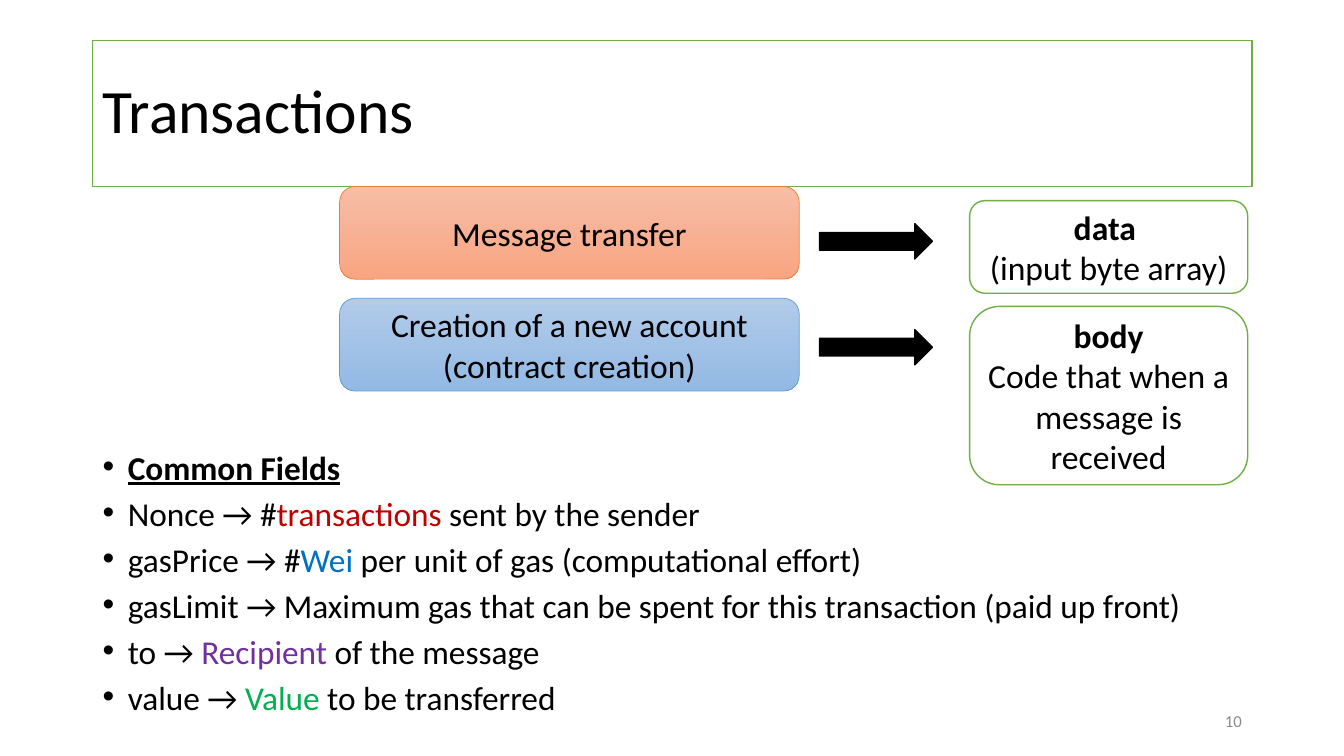
from dataclasses import dataclass

from lxml.etree import SubElement
from pptx import Presentation
from pptx.dml.color import RGBColor
from pptx.enum.shapes import MSO_SHAPE as SHAPE
from pptx.enum.text import MSO_ANCHOR as ANCHOR, PP_ALIGN as ALIGN
from pptx.oxml.ns import qn
from pptx.util import Pt


@dataclass(frozen=True)
class Theme:
    font: str = "Calibri"
    black: str = "000000"
    white: str = "FFFFFF"
    green: str = "70AD47"
    orange: tuple = ("F7BDA5", "F8A582", "ED7D31")  # top, bottom, outline
    blue: tuple = ("B1CBE9", "93B9E4", "5B9BD5")
    gray: str = "8C8C8C"
    title: float = 44
    label: float = 24
    bullet: float = 23.8
    number: float = 12


T = Theme()

# Each field is a list of (text, colour) pieces
FIELDS = [
    [("Nonce → #", T.black), ("transactions", "C00000"), (" sent by the sender", T.black)],
    [("gasPrice → #", T.black), ("Wei", "0070C0"),
     (" per unit of gas (computational effort)", T.black)],
    [("gasLimit → Maximum gas that can be spent for this transaction (paid up front)", T.black)],
    [("to → ", T.black), ("Recipient", "7030A0"), (" of the message", T.black)],
    [("value → ", T.black), ("Value", "00B050"), (" to be transferred", T.black)],
]


def rgb(color):
    return RGBColor.from_string(color)


def style(r, size, color=T.black, bold=False):
    r.font.name, r.font.size, r.font.bold = T.font, Pt(size), bold
    r.font.color.rgb = rgb(color)


def add_box(s, kind, box, fill, line, weight=1):
    """Add a preset shape; a pair of fill colours makes a vertical gradient."""
    sp = s.shapes.add_shape(kind, *map(Pt, box))
    sp.shadow.inherit = False
    if isinstance(fill, tuple):
        sp.fill.gradient()
        sp.fill.gradient_angle = 270
        for stop, color in zip(sp.fill.gradient_stops, fill):
            stop.color.rgb = rgb(color)
    else:
        sp.fill.solid()
        sp.fill.fore_color.rgb = rgb(fill)
    sp.line.color.rgb = rgb(line)
    sp.line.width = Pt(weight)
    return sp


def write(sp, text, size, align=ALIGN.CENTER, color=T.black, bold_first=False):
    tf = sp.text_frame
    tf.word_wrap = True
    tf.vertical_anchor = ANCHOR.MIDDLE
    tf.text = text
    for i, p in enumerate(tf.paragraphs):
        p.alignment = align
        for j, r in enumerate(p.runs):
            style(r, size, color, bold_first and i == j == 0)
    return tf


def add_bullet(p, pieces):
    p.line_spacing, p.space_before = 0.8, Pt(10)
    pPr = p._p.get_or_add_pPr()
    pPr.set("marL", str(Pt(18)))
    pPr.set("indent", str(-Pt(18)))
    SubElement(pPr, qn("a:buFont")).set("typeface", "Arial")
    SubElement(pPr, qn("a:buChar")).set("char", "•")
    for text, color in pieces:
        r = p.add_run()
        r.text = text
        style(r, T.bullet, color)


def add_fields(s, box):
    tf = s.shapes.add_textbox(*map(Pt, box)).text_frame
    tf.word_wrap = True
    heading = tf.paragraphs[0]
    add_bullet(heading, [("Common Fields", T.black)])
    heading.runs[0].font.bold = heading.runs[0].font.underline = True
    for pieces in FIELDS:
        add_bullet(tf.add_paragraph(), pieces)


def main():
    prs = Presentation()
    prs.slide_width, prs.slide_height = Pt(960), Pt(540)
    s = prs.slides.add_slide(prs.slide_layouts[6])

    # Title
    title = add_box(s, SHAPE.RECTANGLE, (66.24, 28.8, 828, 104.4), T.white, T.green)
    tf = write(title, "Transactions", T.title, ALIGN.LEFT)
    tf.paragraphs[0].line_spacing = 0.9

    # Common fields
    add_fields(s, (66.24, 321.1, 828, 208.1))

    # Transaction kinds, each with an arrow to its own field
    rows = [
        ("Message transfer", T.orange, "data \v(input byte array)", 66.2),
        ("Creation of a new account (contract creation)", T.blue,
         "body\nCode that when a message is received", 127.4),
    ]
    for i, (kind, (top, bottom, line), note, note_height) in enumerate(rows):
        box = add_box(s, SHAPE.ROUNDED_RECTANGLE, (242.6, 133.2 + 79.9 * i, 328.3, 66.2),
                      (top, bottom), line, 0.5)
        write(box, kind, T.label)
        offset = 75.6 * i
        add_box(s, SHAPE.RIGHT_ARROW, (585.4, 159.8 + offset, 80.6, 25.2), T.black, T.black)
        field = add_box(s, SHAPE.ROUNDED_RECTANGLE, (692.6, 143.3 + offset, 198.7, note_height),
                        T.white, T.green)
        write(field, note, T.label, bold_first=True)

    # Slide number
    number = s.shapes.add_textbox(Pt(678.2), Pt(500.4), Pt(216), Pt(28.8))
    write(number, "10", T.number, ALIGN.RIGHT, T.gray)

    prs.save("out.pptx")


if __name__ == "__main__":
    main()
